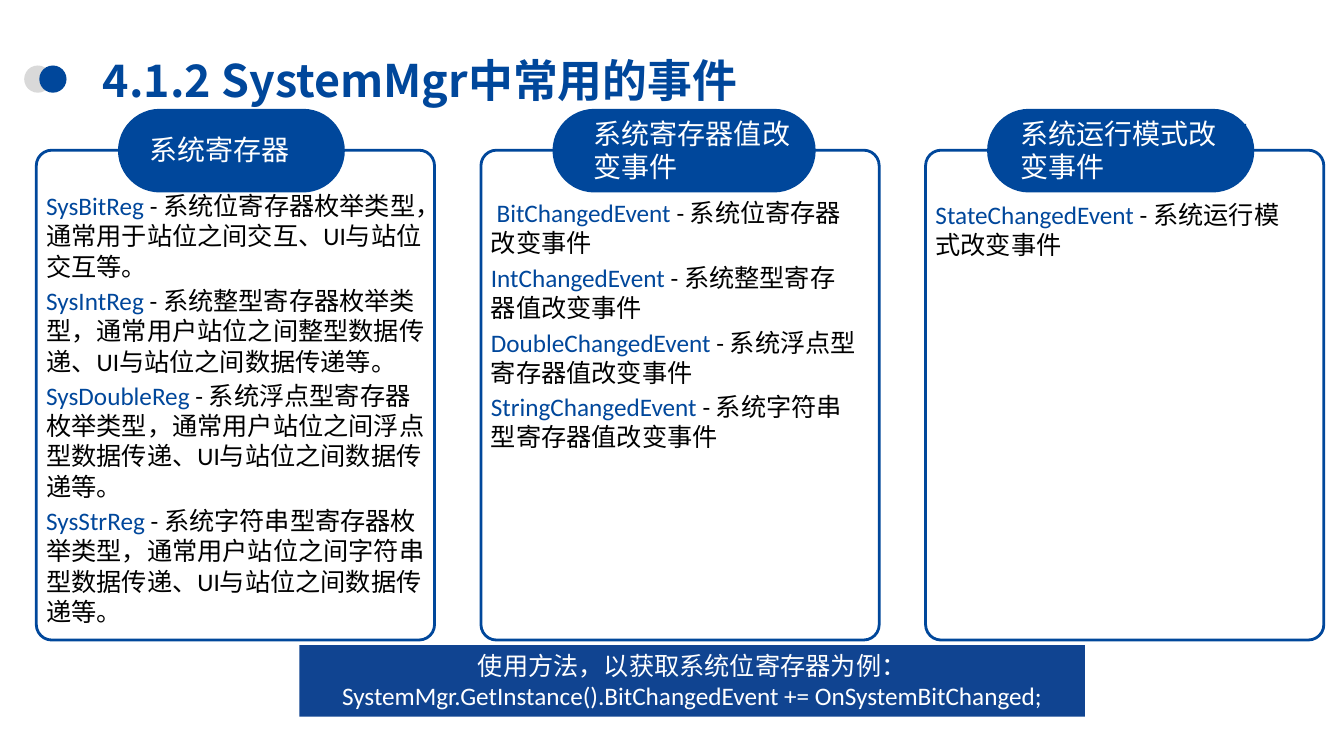
from lxml import etree
from pptx import Presentation
from pptx import util as u
from pptx.dml.color import RGBColor
from pptx.enum import shapes, text
from pptx.oxml.ns import qn

COLORS = {"blue": "00479B", "banner": "104491", "grey": "D9D9D9",
          "white": "FFFFFF", "black": "000000"}
BODY_FONT = "Calibri"
CJK_FONT = "Noto Sans CJK SC"
SHAPE = shapes.MSO_SHAPE

COLUMN_LEFT, COLUMN_STEP = 0.36, 4.41
CARD_TOP, CARD_WIDTH, CARD_HEIGHT = 1.49, 3.95, 4.86

COLUMNS = [
    {"heading": "系统寄存器", "pill": (0.81, 2.25), "label": (1.02, 1.87),
     "body": (1.84, 3.95, 4.48),
     "entries": [
         ("", "SysBitReg", " - 系统位寄存器枚举类型，通常用于站位之间交互、UI与站位交互等。"),
         ("", "SysIntReg ", "- 系统整型寄存器枚举类型，通常用户站位之间整型数据传递、UI与站位之间数据传递等。"),
         ("", "SysDoubleReg ", "- 系统浮点型寄存器枚举类型，通常用户站位之间浮点型数据传递、UI与站位之间数据传递等。"),
         ("", "SysStrReg ", "- 系统字符串型寄存器枚举类型，通常用户站位之间字符串型数据传递、UI与站位之间数据传递等。"),
     ]},
    {"heading": "系统寄存器值改变事件", "pill": (0.71, 2.61), "label": (1.02, 2.15),
     "body": (1.91, 3.85, 2.66),
     "entries": [
         (" ", "BitChangedEvent ", "- 系统位寄存器改变事件"),
         ("", "IntChangedEvent", " - 系统整型寄存器值改变事件"),
         ("", "DoubleChangedEvent", " - 系统浮点型寄存器值改变事件"),
         ("", "StringChangedEvent", " - 系统字符串型寄存器值改变事件"),
     ]},
    {"heading": "系统运行模式改变事件", "pill": (0.61, 2.65), "label": (0.84, 2.34),
     "body": (1.93, 3.85, 0.71),
     "entries": [("", "StateChangedEvent", " - 系统运行模式改变事件")]},
]


def rgb(name):
    return RGBColor.from_string(COLORS[name])


def add_block(slide, kind, box, fill=None, line=None, corner=None):
    block = slide.shapes.add_shape(kind, *map(u.Inches, box))
    block.shadow.inherit = False
    if fill:
        block.fill.solid()
        block.fill.fore_color.rgb = rgb(fill)
    else:
        block.fill.background()
    if line:
        block.line.color.rgb = rgb(line)
        block.line.width = u.Pt(2)
    else:
        block.line.fill.background()
    if corner is not None:
        block.adjustments[0] = corner
    return block


def add_words(paragraph, words, size, color, font=BODY_FONT, bold=False):
    run = paragraph.add_run()
    run.text = words
    run.font.size = u.Pt(size)
    run.font.name = font
    run.font.bold = bold
    run.font.color.rgb = rgb(color)
    east_asian = etree.Element(qn("a:ea"), typeface=CJK_FONT)
    run.font._element.find(qn("a:latin")).addnext(east_asian)


def write_paragraphs(frame, paragraphs, size, align=text.PP_ALIGN.LEFT, gap=0,
                     anchor=text.MSO_ANCHOR.TOP):
    frame.word_wrap = True
    frame.vertical_anchor = anchor
    for index, runs in enumerate(paragraphs):
        paragraph = frame.add_paragraph() if index else frame.paragraphs[0]
        paragraph.alignment = align
        paragraph.space_after = u.Pt(gap)
        for words, color in runs:
            if words:
                add_words(paragraph, words, size, color)


def add_title(slide, left, top, width, height):
    for offset, color in ((0, "grey"), (0.15, "blue")):
        add_block(slide, SHAPE.OVAL, (left + offset, top + 0.35, 0.27, 0.27), color)
    title = slide.shapes.add_textbox(u.Inches(left + 0.68), u.Inches(top),
                                     u.Inches(width - 0.68), u.Inches(height))
    frame = title.text_frame
    frame.word_wrap = True
    frame.vertical_anchor = text.MSO_ANCHOR.MIDDLE
    frame.paragraphs[0].line_spacing = 1.4
    add_words(frame.paragraphs[0], "4.1.2 SystemMgr中常用的事件", 32, "blue", CJK_FONT, True)


def add_column(slide, column, left, top, width, height):
    add_block(slide, SHAPE.ROUNDED_RECTANGLE, (left, top, width, height),
              line="blue", corner=0.039)
    pill_offset, pill_width = column["pill"]
    add_block(slide, SHAPE.ROUNDED_RECTANGLE,
              (left + pill_offset, top - 0.41, pill_width, 0.83), "blue", corner=0.5)
    label_offset, label_width = column["label"]
    label = add_block(slide, SHAPE.RECTANGLE,
                      (left + label_offset, top - 0.26, label_width, 0.51), "blue")
    write_paragraphs(label.text_frame, [[(column["heading"], "white")]], 20,
                     anchor=text.MSO_ANCHOR.MIDDLE)
    body_top, body_width, body_height = column["body"]
    body = slide.shapes.add_textbox(u.Inches(left), u.Inches(body_top),
                                    u.Inches(body_width), u.Inches(body_height))
    entries = [[(lead, "black"), (name, "blue"), (meaning, "black")]
               for lead, name, meaning in column["entries"]]
    write_paragraphs(body.text_frame, entries, 18, gap=3)


def add_usage(slide, left, top, width, height):
    usage = add_block(slide, SHAPE.RECTANGLE, (left, top, width, height), "banner")
    lines = ["使用方法，以获取系统位寄存器为例：",
             "SystemMgr.GetInstance().BitChangedEvent += OnSystemBitChanged;"]
    write_paragraphs(usage.text_frame, [[(line, "white")] for line in lines], 18,
                     align=text.PP_ALIGN.CENTER)


def main():
    deck = Presentation()
    deck.slide_width, deck.slide_height = u.Inches(13.33), u.Inches(7.5)
    slide = deck.slides.add_slide(deck.slide_layouts[6])
    add_title(slide, 0.24, 0.3, 8.07, 0.77)
    for index, column in enumerate(COLUMNS):
        add_column(slide, column, COLUMN_LEFT + index * COLUMN_STEP,
                   CARD_TOP, CARD_WIDTH, CARD_HEIGHT)
    add_usage(slide, 2.97, 6.4, 7.79, 0.71)
    deck.save("out.pptx")


if __name__ == "__main__":
    main()
